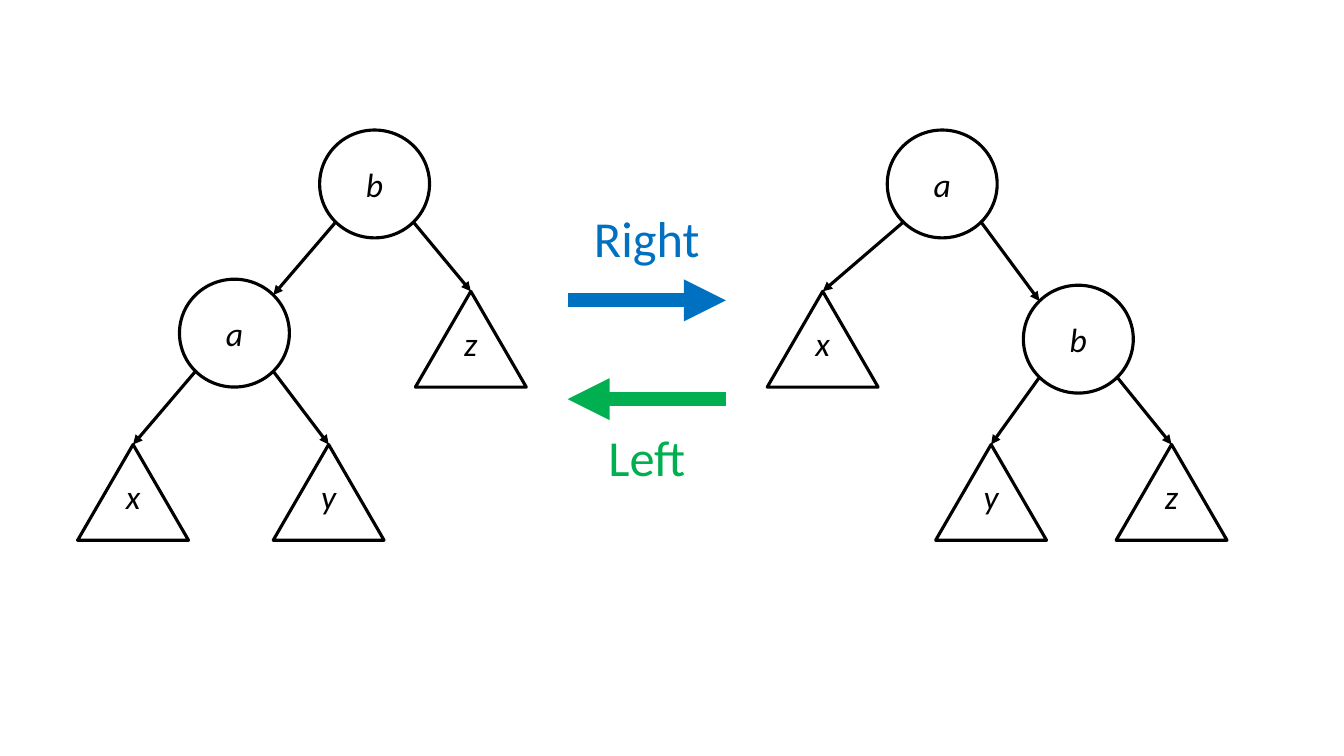
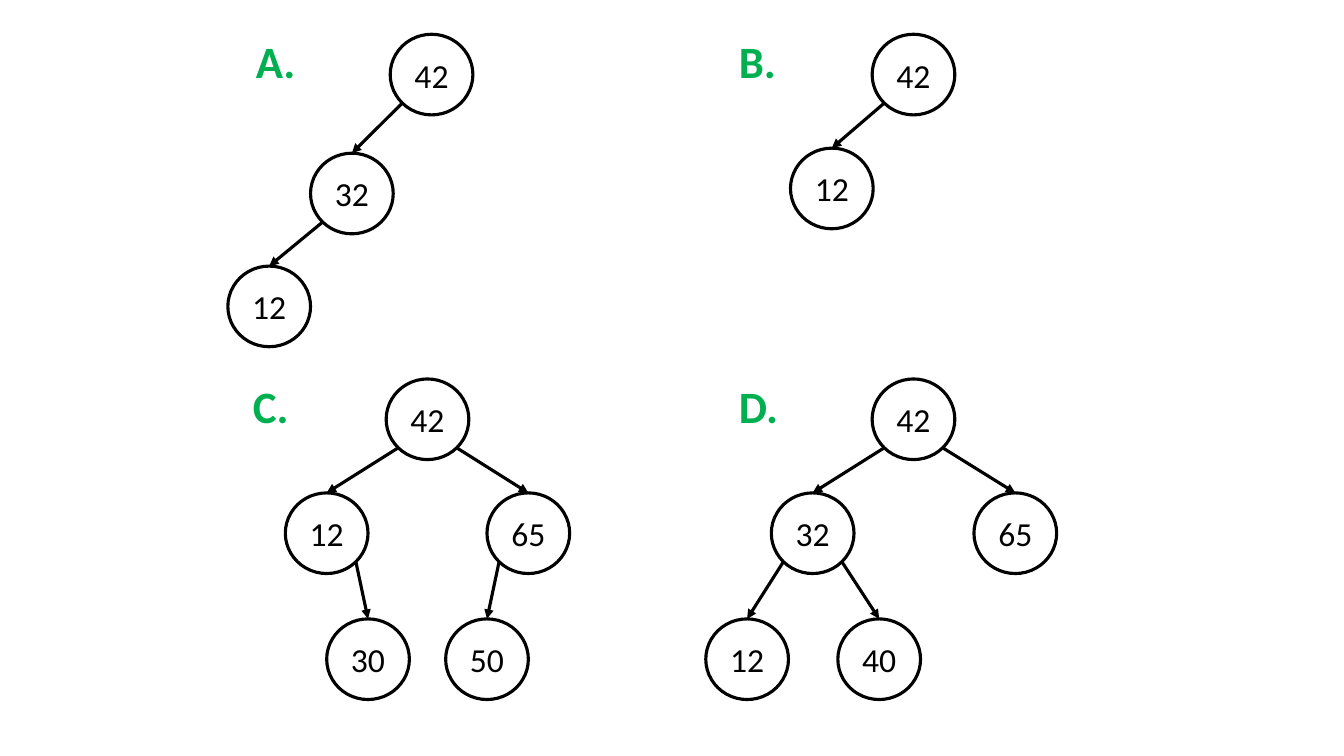
from math import sqrt

from lxml import etree
from pptx import Presentation
from pptx.dml.color import RGBColor
from pptx.enum.shapes import MSO_CONNECTOR, MSO_SHAPE
from pptx.enum.text import MSO_ANCHOR, PP_ALIGN
from pptx.oxml.ns import qn
from pptx.util import Pt

PX = 9144  # EMU in one px, 100 px to the inch
COLORS = {"ink": "000000", "right": "0070C0", "left": "00B050"}

# Each kind of node: size, room kept free under the text, and where arrows enter.
KINDS = {
    "circle": {"shape": MSO_SHAPE.OVAL, "width": 109, "height": 107,
               "below": 0, "entry": "side", "italic": True},
    "subtree": {"shape": MSO_SHAPE.ISOSCELES_TRIANGLE, "width": 110, "height": 95,
                "below": 40, "entry": "top", "italic": True},
    "number": {"shape": MSO_SHAPE.OVAL, "width": 82, "height": 80,
               "below": 0, "entry": "top", "italic": False},
}

# Each node: text, kind, left, top, index of its parent in the same tree.
ROTATION_TREES = [
    [("b", "circle", 317, 129, None), ("a", "circle", 178, 277, 0),
     ("z", "subtree", 412, 289, 0), ("x", "subtree", 77, 441, 1),
     ("y", "subtree", 271, 441, 1)],
    [("a", "circle", 880, 129, None), ("x", "subtree", 761, 289, 0),
     ("b", "circle", 1015, 283, 0), ("y", "subtree", 928, 441, 2),
     ("z", "subtree", 1107, 441, 2)],
]
NUMBER_TREES = [
    [("42", "number", 387, 34, None), ("32", "number", 308, 152, 0),
     ("12", "number", 226, 264, 1)],
    [("42", "number", 865, 34, None), ("12", "number", 784, 147, 0)],
    [("42", "number", 383, 376, None), ("12", "number", 283, 489, 0),
     ("65", "number", 483, 489, 0), ("30", "number", 324, 614, 1),
     ("50", "number", 442, 614, 2)],
    [("42", "number", 865, 376, None), ("32", "number", 765, 489, 0),
     ("65", "number", 966, 489, 0), ("12", "number", 700, 614, 1),
     ("40", "number", 831, 614, 1)],
]

ROTATION_LABEL = {"size": Pt(36), "bold": False}
CHOICE_LABEL = {"size": Pt(32), "bold": True}
# Each label: text, left, top, width, height, colour, alignment, font format.
ROTATION_LABELS = [
    ("Right", 563, 201, 157, 71, "right", PP_ALIGN.CENTER, ROTATION_LABEL),
    ("Left", 563, 418, 157, 71, "left", PP_ALIGN.CENTER, ROTATION_LABEL),
]
CHOICE_LABELS = [
    (text, left, top, 63, 64, "left", PP_ALIGN.LEFT, CHOICE_LABEL)
    for text, left, top in [("A.", 244, 29), ("B.", 723, 29),
                            ("C.", 241, 371), ("D.", 723, 371)]
]
# Each rotation arrow: start x, end x, y, colour.
ROTATION_ARROWS = [(563, 720, 298, "right"), (720, 563, 396, "left")]

PAGES = [
    (ROTATION_TREES, ROTATION_LABELS, ROTATION_ARROWS),
    (NUMBER_TREES, CHOICE_LABELS, []),
]


def add_arrow(page, start, end, color, weight):
    points = [round(value * PX) for value in (*start, *end)]
    arrow = page.shapes.add_connector(MSO_CONNECTOR.STRAIGHT, *points)
    arrow.line.color.rgb = RGBColor.from_string(COLORS[color])
    arrow.line.width = Pt(weight)
    etree.SubElement(arrow.line._get_or_add_ln(), qn("a:tailEnd"), type="triangle")
    etree.SubElement(arrow._element.spPr, qn("a:effectLst"))
    return arrow


def write_text(box, text, color, align, font_format):
    box.text_frame.word_wrap = True
    para = box.text_frame.paragraphs[0]
    para.alignment = align
    span = para.add_run()
    span.text = text
    span.font.name = "Calibri"
    span.font.color.rgb = RGBColor.from_string(COLORS[color])
    for name, value in font_format.items():
        setattr(span.font, name, value)


deck = Presentation()
deck.slide_width, deck.slide_height = 1333 * PX, 750 * PX

for trees, labels, arrows in PAGES:
    page = deck.slides.add_slide(deck.slide_layouts[6])

    for tree in trees:
        nodes = []
        for text, kind_name, left, top, parent in tree:
            kind = KINDS[kind_name]
            width, height = kind["width"], kind["height"]
            node = page.shapes.add_shape(
                kind["shape"], left * PX, top * PX, width * PX, height * PX)
            node.shadow.inherit = False
            node.fill.background()
            node.line.color.rgb = RGBColor.from_string(COLORS["ink"])
            node.line.width = Pt(2.25)
            margins = {"margin_left": 0, "margin_right": 0, "margin_top": 0,
                       "margin_bottom": kind["below"] * PX,
                       "vertical_anchor": MSO_ANCHOR.MIDDLE}
            for name, value in margins.items():
                setattr(node.text_frame, name, value)
            write_text(node, text, "ink", PP_ALIGN.CENTER,
                       {"size": Pt(24), "italic": kind["italic"]})

            # Diagonal points of the outline lie at 45 degrees from the centre.
            center = (left + width / 2, top + height / 2)
            diagonal = (width / sqrt(8), height / sqrt(8))
            nodes.append((center, diagonal))
            if parent is None:
                continue
            (parent_x, parent_y), (reach_x, reach_y) = nodes[parent]
            side = 1 if center[0] > parent_x else -1
            start = (parent_x + side * reach_x, parent_y + reach_y)
            if kind["entry"] == "side":
                end = (center[0] - side * diagonal[0], center[1] - diagonal[1])
                add_arrow(page, start, end, "ink", 2.25)
            else:
                arrow = add_arrow(page, start, (center[0], top), "ink", 2.25)
                arrow.end_connect(node, 0)

    for start_x, end_x, y, color in arrows:
        add_arrow(page, (start_x, y), (end_x, y), color, 10)

    for text, left, top, width, height, color, align, font_format in labels:
        label = page.shapes.add_textbox(left * PX, top * PX, width * PX, height * PX)
        write_text(label, text, color, align, font_format)

deck.save("out.pptx")
